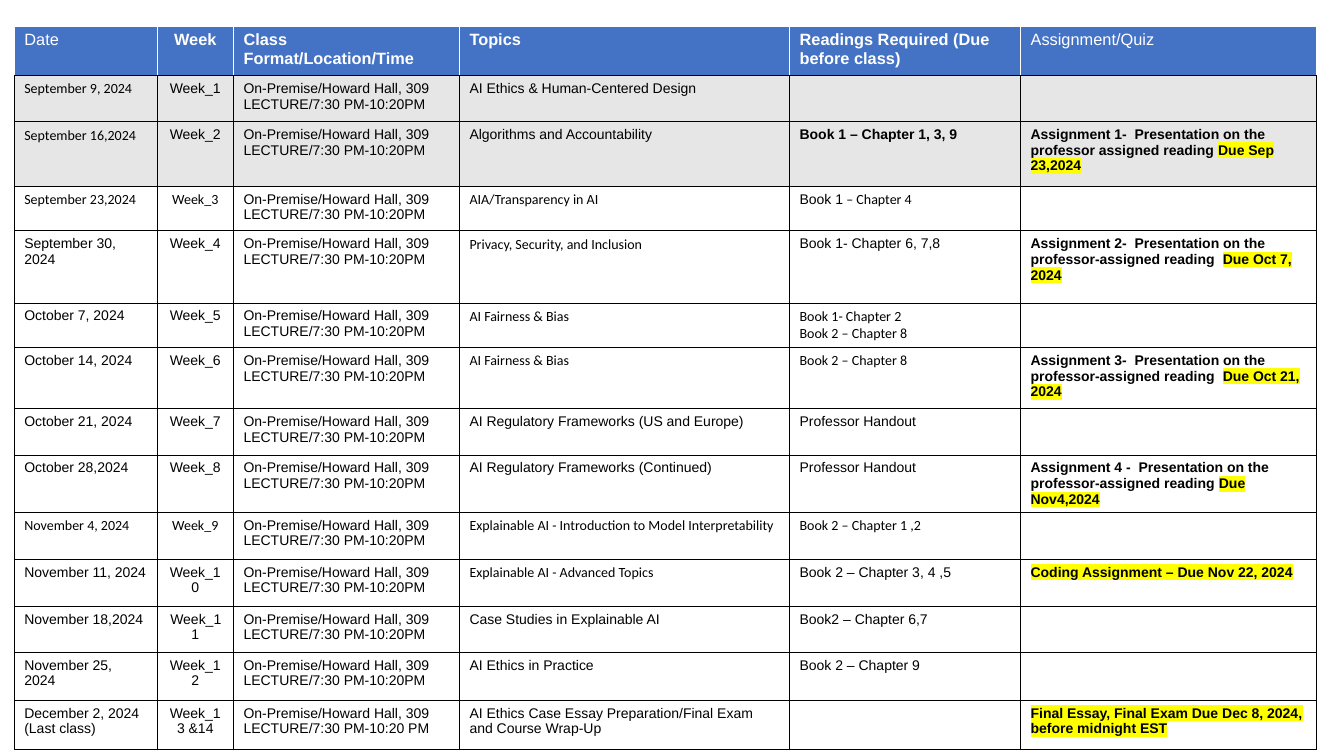
from lxml import etree
from pptx import Presentation
from pptx.dml.color import RGBColor
from pptx.enum.text import PP_ALIGN
from pptx.oxml.ns import qn
from pptx.util import Inches, Pt

CENTER = PP_ALIGN.CENTER
COLORS = {
    "header": "4472C4",
    "past": "E7E6E6",
    "white": "FFFFFF",
    "black": "000000",
    "due": "FFFF00",
}
DATE, WEEK, CLASS, TOPIC, READING, ASSIGNMENT = range(6)
HEADINGS = ["Date", "Week", "Class Format/Location/Time", "Topics",
            "Readings Required (Due before class)", "Assignment/Quiz"]
LOCATION = "On-Premise/Howard Hall, 309 LECTURE/7:30 PM-10:20PM"
SESSIONS = [
    ("September 9, 2024", "AI Ethics & Human-Centered Design", "", ""),
    ("September 16,2024", "Algorithms and Accountability", "Book 1 – Chapter 1, 3, 9",
     "Assignment 1-  Presentation on the professor assigned reading |Due Sep 23,2024"),
    ("September 23,2024", "AIA/Transparency in AI", "Book 1| – Chapter 4", ""),
    ("September 30, 2024", "Privacy, Security, and Inclusion", "Book 1- Chapter 6, 7,8",
     "Assignment 2-  Presentation on the professor-assigned reading  |Due Oct 7, 2024"),
    ("October 7, 2024", "AI Fairness & Bias", "Book 1- Chapter 2\nBook 2 – Chapter 8", ""),
    ("October 14, 2024", "AI Fairness & Bias", "Book 2 – Chapter 8",
     "Assignment 3-  Presentation on the professor-assigned reading  |Due Oct 21, 2024"),
    ("October 21, 2024", "AI Regulatory Frameworks (US and Europe)", "Professor Handout", ""),
    ("October 28,2024", "AI Regulatory Frameworks (Continued)", "Professor Handout",
     "Assignment 4 -  Presentation on the professor-assigned reading |Due Nov4,2024"),
    ("November 4, 2024", "Explainable AI - Introduction to Model Interpretability",
     "Book 2 – Chapter 1 ,2", ""),
    ("November 11, 2024", "Explainable AI - Advanced Topics", "Book 2 – Chapter 3, 4 ,5",
     "|Coding Assignment – Due Nov 22, 2024"),
    ("November 18,2024", "Case Studies in Explainable AI", "Book2 – Chapter 6,7", ""),
    ("November 25, 2024", "AI Ethics in Practice", "Book 2 – Chapter 9", ""),
    ("December 2, 2024\n(Last class)",
     "AI Ethics Case Essay Preparation/Final Exam and Course Wrap-Up", "",
     "|Final Essay, Final Exam Due Dec 8, 2024, before midnight EST"),
]
CALIBRI_WEEKS = {
    DATE: {1, 2, 3, 9},
    WEEK: {3, 9},
    TOPIC: {3, 4, 5, 6, 9, 10},
    READING: {5, 6, 9},
}
COLUMN_WIDTHS = [1.7, 0.91, 2.69, 3.93, 2.75, 3.52]
ROW_HEIGHTS = [0.59, 0.55, 0.77, 0.53, 0.86, 0.53, 0.73,
               0.55, 0.68, 0.56, 0.56, 0.55, 0.57, 0.58]


def set_borders(cell, colors):
    properties = cell._tc.get_or_add_tcPr()
    for position, (side, color) in enumerate(zip("LRTB", colors)):
        line = etree.Element(qn(f"a:ln{side}"), w=str(Pt(1)))
        fill = etree.SubElement(line, qn("a:solidFill"))
        etree.SubElement(fill, qn("a:srgbClr"), val=COLORS[color])
        properties.insert(position, line)


def highlight(run):
    mark = etree.Element(qn("a:highlight"))
    etree.SubElement(mark, qn("a:srgbClr"), val=COLORS["due"])
    run._r.get_or_add_rPr().find(qn("a:solidFill")).addnext(mark)


schedule_rows = [HEADINGS]
for week, (date, topic, reading, assignment) in enumerate(SESSIONS, 1):
    schedule_rows.append([date, f"Week_{week}", LOCATION, topic, reading, assignment])
schedule_rows[-1][WEEK] = "Week_13 &14"
schedule_rows[-1][CLASS] = LOCATION.replace("20PM", "20 PM")

prs = Presentation()
prs.slide_width = Inches(16)
prs.slide_height = Inches(9)
slide = prs.slides.add_slide(prs.slide_layouts[6])

schedule = slide.shapes.add_table(
    len(schedule_rows), len(HEADINGS), Inches(0.17), Inches(0.31),
    Inches(sum(COLUMN_WIDTHS)), Inches(sum(ROW_HEIGHTS))).table
schedule.first_row = False
schedule.horz_banding = False
for column, width in zip(schedule.columns, COLUMN_WIDTHS):
    column.width = Inches(width)
for row, height in zip(schedule.rows, ROW_HEIGHTS):
    row.height = Inches(height)

for week, texts in enumerate(schedule_rows):
    is_header = week == 0
    background = "header" if is_header else "past" if week <= 2 else "white"
    edges = ["white"] * 3 + ["black"] if is_header else ["black"] * 4
    for topic_column, text in enumerate(texts):
        cell = schedule.cell(week, topic_column)
        cell.margin_left = cell.margin_right = Inches(0.12)
        cell.margin_top = cell.margin_bottom = Inches(0.06)
        cell.fill.solid()
        cell.fill.fore_color.rgb = RGBColor.from_string(COLORS[background])
        set_borders(cell, edges)
        if is_header:
            bold = topic_column not in (DATE, ASSIGNMENT)
        else:
            bold = topic_column == ASSIGNMENT or (week, topic_column) == (2, READING)
        for index, line in enumerate(text.split("\n")):
            paragraph = cell.text_frame.add_paragraph() if index else cell.text_frame.paragraphs[0]
            if topic_column == WEEK:
                paragraph.alignment = CENTER
            for part, words in enumerate(line.split("|")):
                if not words:
                    continue
                run = paragraph.add_run()
                run.text = words
                calibri = week in CALIBRI_WEEKS.get(topic_column, ()) or (
                    part == 1 and topic_column == READING)
                run.font.name = "Calibri" if calibri else "Arial"
                run.font.size = Pt(14 if is_header else 12)
                run.font.bold = bold
                run.font.color.rgb = RGBColor.from_string(COLORS["white" if is_header else "black"])
                if part == 1 and topic_column == ASSIGNMENT:
                    highlight(run)

prs.save("out.pptx")
